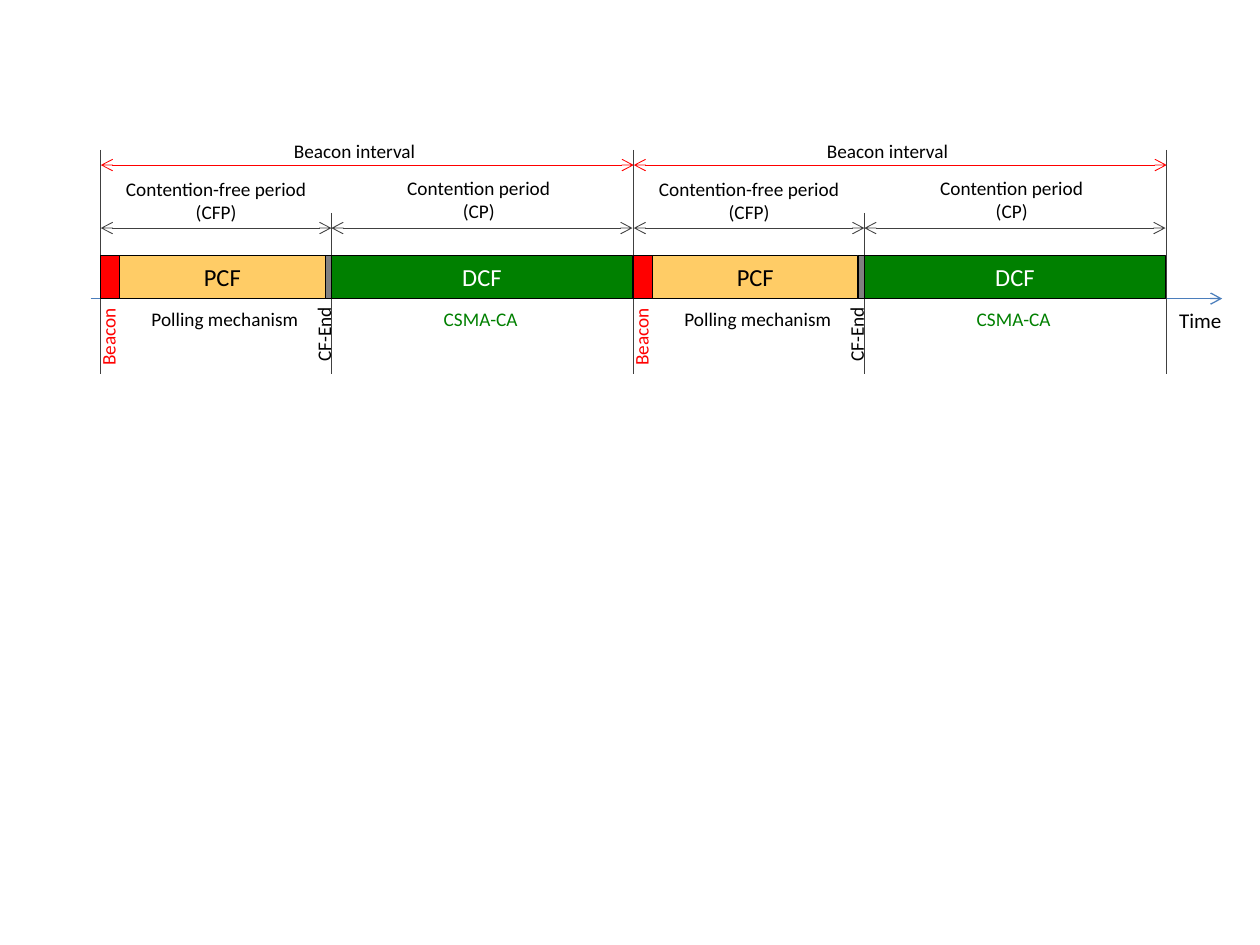
from lxml.etree import SubElement
from pptx import Presentation
from pptx.dml.color import RGBColor
from pptx.enum.shapes import MSO_CONNECTOR as Link, MSO_SHAPE as Shape
from pptx.enum.text import MSO_ANCHOR as Anchor, MSO_AUTO_SIZE as Fit, PP_ALIGN as Align
from pptx.oxml.ns import qn
from pptx.util import Inches, Pt

BLACK, WHITE, DARK, BLUE = "000000", "FFFFFF", "404040", "4B7EBC"
RED, GREEN, AMBER, GREY = "FF0000", "008000", "FFCC66", "808080"
START, SPAN = 0.8, 4.23


def tint(code):
    return RGBColor.from_string(code)


class Chart:
    """Draws timing chart parts on one slide in a shared style."""

    def __init__(self, slide, font="Calibri"):
        self.shapes = slide.shapes
        self.font = font

    def letter(self, frame, text, size, color, align=Align.CENTER):
        frame.text = text
        for para in frame.paragraphs:
            para.alignment = align
            para.font.name = self.font
            para.font.size = Pt(size)
            para.font.color.rgb = tint(color)

    def block(self, left, width, fill, text="", color=BLACK):
        box = self.shapes.add_shape(
            Shape.RECTANGLE, Inches(left), Inches(2.03), Inches(width), Inches(0.34))
        box.shadow.inherit = False
        box.fill.solid()
        box.fill.fore_color.rgb = tint(fill)
        box.line.color.rgb = tint(BLACK)
        box.line.width = Pt(0.5)
        if text:
            box.text_frame.vertical_anchor = Anchor.MIDDLE
            self.letter(box.text_frame, text, 14, color)

    def label(self, text, left, top, width, height=0.29, color=BLACK,
              size=11, turn=0, align=Align.CENTER):
        box = self.shapes.add_textbox(
            Inches(left), Inches(top), Inches(width), Inches(height))
        box.rotation = turn
        box.text_frame.word_wrap = False
        box.text_frame.auto_size = Fit.SHAPE_TO_FIT_TEXT
        self.letter(box.text_frame, text, size, color, align)

    def line(self, x1, y1, x2, y2, color=DARK, width=0.5, ends=()):
        link = self.shapes.add_connector(
            Link.STRAIGHT, Inches(x1), Inches(y1), Inches(x2), Inches(y2))
        link.line.color.rgb = tint(color)
        link.line.width = Pt(width)
        props = link._element.spPr
        for end in ends:
            SubElement(props.find(qn("a:ln")), qn(f"a:{end}"), type="arrow")
        SubElement(props, qn("a:effectLst"))

    def mark(self, x, top):
        self.line(x, top, x, 2.97)

    def extent(self, x1, x2, y, color=DARK):
        self.line(x1, y, x2, y, color, ends=("headEnd", "tailEnd"))

    def cycle(self, x):
        split, end = x + 1.83, x + SPAN
        self.mark(x, 1.19)
        self.block(x + 0.15, 1.63, AMBER, "PCF")
        self.extent(x, split, 1.81)
        self.label("Contention-free period\n(CFP)", x + 0.09, 1.36, 1.65, 0.47)
        self.mark(split, 1.69)
        self.extent(x, end, 1.31, RED)
        self.extent(split, end - 0.01, 1.81)
        self.label("CSMA-CA", x + 2.62, 2.39, 0.79, color=GREEN)
        self.label("Polling mechanism", x + 0.3, 2.39, 1.37)
        self.block(x, 0.15, RED)
        self.block(split, 2.39, GREEN, "DCF", WHITE)
        self.label("Contention period\n(CP)", x + 2.33, 1.35, 1.34, 0.47)
        self.label("Beacon interval", x + 1.43, 1.06, 1.17)
        self.label("Beacon", x - 0.27, 2.53, 0.66, color=RED, turn=270)
        self.block(x + 1.78, 0.05, GREY)
        self.label("CF-End", x + 1.45, 2.51, 0.64, turn=270)


def main():
    deck = Presentation()
    deck.slide_width, deck.slide_height = Inches(10), Inches(7.5)
    chart = Chart(deck.slides.add_slide(deck.slide_layouts[6]))
    chart.line(0.72, 2.37, 9.7, 2.37, BLUE, 0.75, ("tailEnd",))
    chart.label("Time", 9.26, 2.39, 0.54, 0.3, size=12, align=Align.LEFT)
    for turn in range(2):
        chart.cycle(START + turn * SPAN)
    chart.mark(START + 2 * SPAN, 1.19)
    deck.save("out.pptx")


if __name__ == "__main__":
    main()
